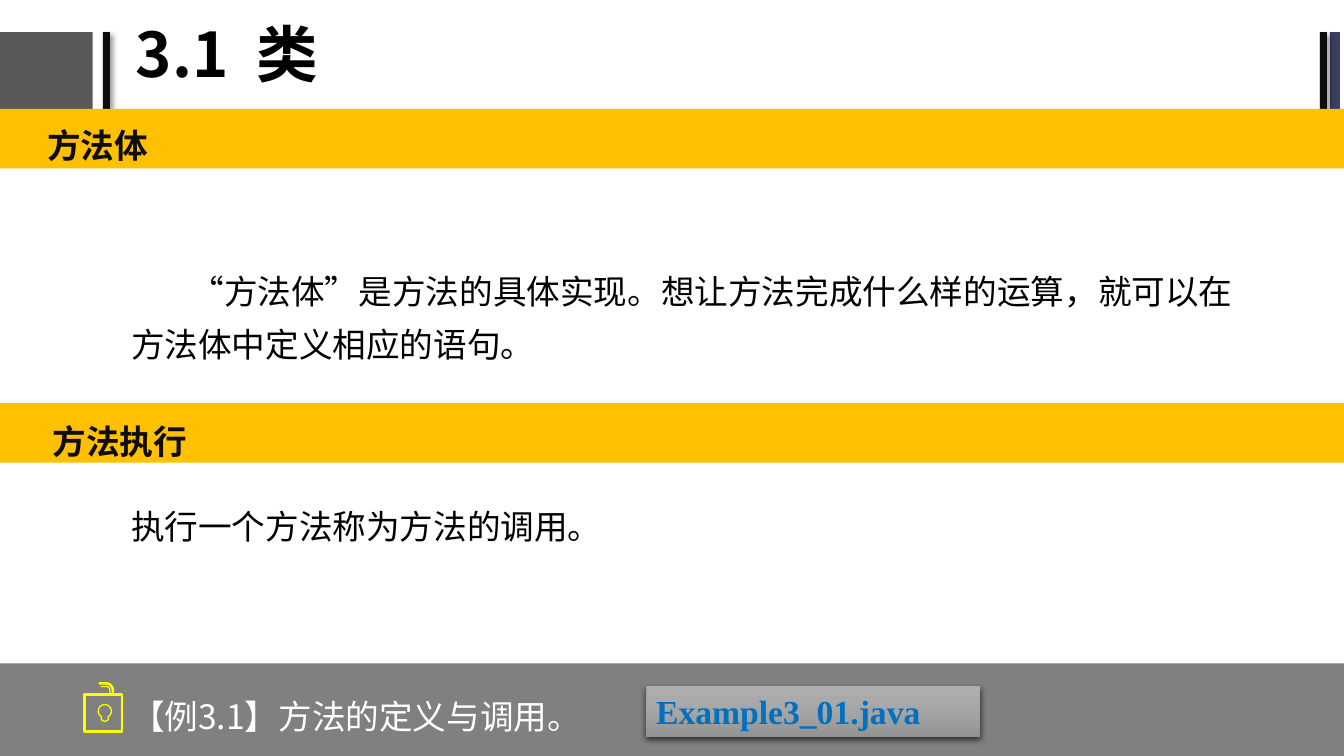
from math import cos, radians, sin

from lxml.etree import SubElement
from pptx import Presentation
from pptx.dml.color import RGBColor
from pptx.enum.lang import MSO_LANGUAGE_ID as Language
from pptx.enum.shapes import MSO_SHAPE as Shape
from pptx.enum.text import MSO_ANCHOR as Anchor, MSO_AUTO_SIZE as AutoSize, PP_ALIGN as Align
from pptx.oxml.ns import qn
from pptx.util import Emu, Pt

SANS = "Noto Sans CJK SC"
SERIF = "Times New Roman"
BLACK, INK, WHITE = "000000", "0D0D0D", "FFFFFF"
GREY, AMBER, YELLOW, BLUE = "808080", "FFC000", "FFFF00", "0070C0"


def px(value):
    return Emu(round(value * 9144))


def color(value):
    return RGBColor.from_string(value)


def write(frame, text, size=24, font=SANS, ink=BLACK, bold=False,
          spacing=1.0, indent=0, anchor=Anchor.TOP, inset=(13, 7)):
    frame.word_wrap = True
    frame.auto_size = AutoSize.NONE
    frame.vertical_anchor = anchor
    frame.margin_left = frame.margin_right = px(inset[0])
    frame.margin_top = frame.margin_bottom = px(inset[1])
    paragraph = frame.paragraphs[0]
    paragraph.alignment = Align.LEFT
    paragraph.line_spacing = spacing
    if indent:
        paragraph._p.get_or_add_pPr().set("indent", str(px(indent)))
    run = paragraph.add_run()
    run.text = text
    run.font.size = Pt(size)
    run.font.name = font
    run.font.bold = bold
    run.font.color.rgb = color(ink)
    run.font.language_id = Language.SIMPLIFIED_CHINESE
    SubElement(run._r.rPr, qn("a:ea")).set("typeface", font)


class Deck:
    def __init__(self):
        self.presentation = Presentation()
        self.presentation.slide_width = px(1333)
        self.presentation.slide_height = px(750)
        self.slide = self.presentation.slides.add_slide(self.presentation.slide_layouts[6])

    def rectangle(self, left, top, width, height, fill):
        shape = self.slide.shapes.add_shape(
            Shape.RECTANGLE, px(left), px(top), px(width), px(height))
        shape.shadow.inherit = False
        shape.fill.solid()
        shape.fill.fore_color.rgb = color(fill)
        shape.line.fill.background()
        return shape

    def shadow(self, shape, alpha, blur, distance, angle):
        effects = shape._element.spPr.find(qn("a:effectLst"))
        outer = SubElement(effects, qn("a:outerShdw"), blurRad=str(Pt(blur)),
                           dist=str(Pt(distance)), dir=str(angle * 60000),
                           algn="ctr", rotWithShape="0")
        shade = SubElement(outer, qn("a:srgbClr"), val=BLACK)
        SubElement(shade, qn("a:alpha"), val=str(alpha * 1000))

    def gradient(self, shape, first, middle, last):
        shape.fill.gradient()
        shape.fill.gradient_angle = 270
        for stop, value in zip(shape.fill.gradient_stops, (first, last)):
            stop.color.rgb = color(value)
        stops = shape._element.spPr.find(qn("a:gradFill")).find(qn("a:gsLst"))
        center = SubElement(stops, qn("a:gs"), pos="50000")
        SubElement(center, qn("a:srgbClr"), val=middle)
        stops.insert(1, center)

    def text(self, left, top, width, height, text, **style):
        box = self.slide.shapes.add_textbox(px(left), px(top), px(width), px(height))
        write(box.text_frame, text, **style)

    def outline(self, points, weight, close=False):
        points = [(px(x), px(y)) for x, y in points]
        builder = self.slide.shapes.build_freeform(*points[0])
        builder.add_line_segments(points[1:], close=close)
        shape = builder.convert_to_shape()
        shape.shadow.inherit = False
        shape.fill.background()
        shape.line.color.rgb = color(YELLOW)
        shape.line.width = Pt(weight)

    def padlock(self):
        self.outline([(84, 689), (121, 689), (121, 726), (84, 726)], 1.8, close=True)
        for left, bend, right, top, weight in ((98, 105, 112, 678, 1.8), (100, 105, 109, 681, 0.9)):
            radius = right - bend
            curve = [(bend + radius * sin(radians(turn)), top + radius * (1 - cos(radians(turn))))
                     for turn in range(0, 91, 15)]
            self.outline([(left, top), *curve, (right, 688)], weight)
        bulb = [(104 + 6.5 * cos(radians(turn)), 705.5 + 6.5 * sin(radians(turn)))
                for turn in range(120, 421, 15)]
        base = [(104 + 3.5 * cos(radians(turn)), 713 + 2.5 * sin(radians(turn)))
                for turn in range(0, 181, 30)]
        self.outline(bulb + base, 0.9, close=True)

    def section(self, top, left, text_top, title):
        self.rectangle(0, top, 1333, 59, AMBER)
        self.text(left, text_top, 1019, 58, title, ink=INK, bold=True, spacing=1.2)

    def save(self):
        self.presentation.save("out.pptx")


def main():
    deck = Deck()
    for left, width, fill in ((0, 92, "595959"), (102, 7, INK), (1319, 10, "3B3F60"), (1309, 7, INK)):
        bar = deck.rectangle(left, 32, width, 76, fill)
        if fill == INK:
            deck.shadow(bar, 40, 4, 3, 45)
    deck.text(125, 2, 847, 110, "3.1  类", size=44, bold=True, spacing=0.9,
              anchor=Anchor.MIDDLE, inset=(10, 5))

    deck.section(108, 34, 109, "方法体")
    deck.section(400, 39, 403, "方法执行")
    deck.text(117, 250, 1133, 71,
              "“方法体”是方法的具体实现。想让方法完成什么样的运算，就可以在方法体中定义相应的语句。",
              spacing=1.3, indent=59)
    deck.text(117, 483, 1133, 150, "执行一个方法称为方法的调用。", spacing=1.3)

    deck.rectangle(0, 658, 1333, 92, GREY)
    deck.padlock()
    deck.text(117, 675, 520, 75, "【例3.1】方法的定义与调用。", ink=WHITE, spacing=1.2)
    button = deck.rectangle(641, 681, 331, 50, GREY)
    deck.gradient(button, "AFAFAF", "A5A5A5", "939393")
    deck.shadow(button, 63, 4.5, 1.5, 90)
    write(button.text_frame, "Example3_01.java", font=SERIF, ink=BLUE, bold=True, inset=(10, 5))
    deck.save()


if __name__ == "__main__":
    main()
